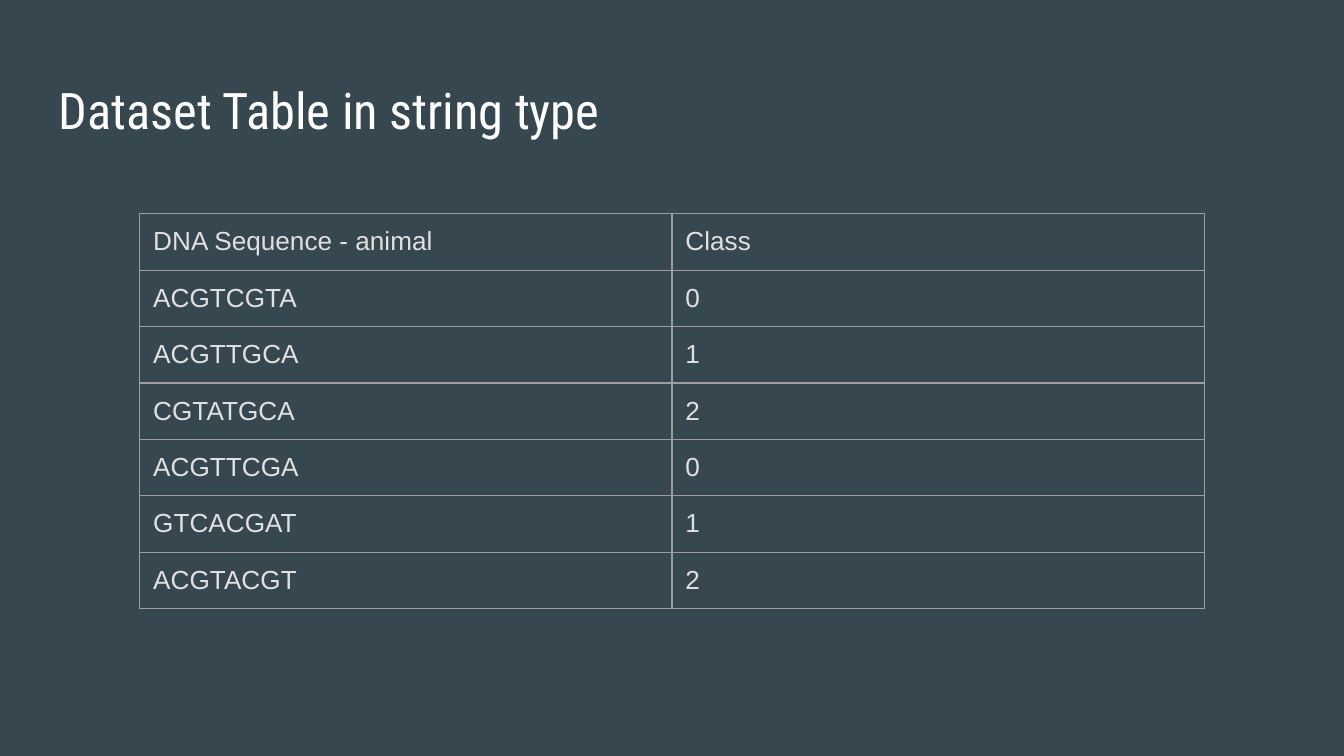
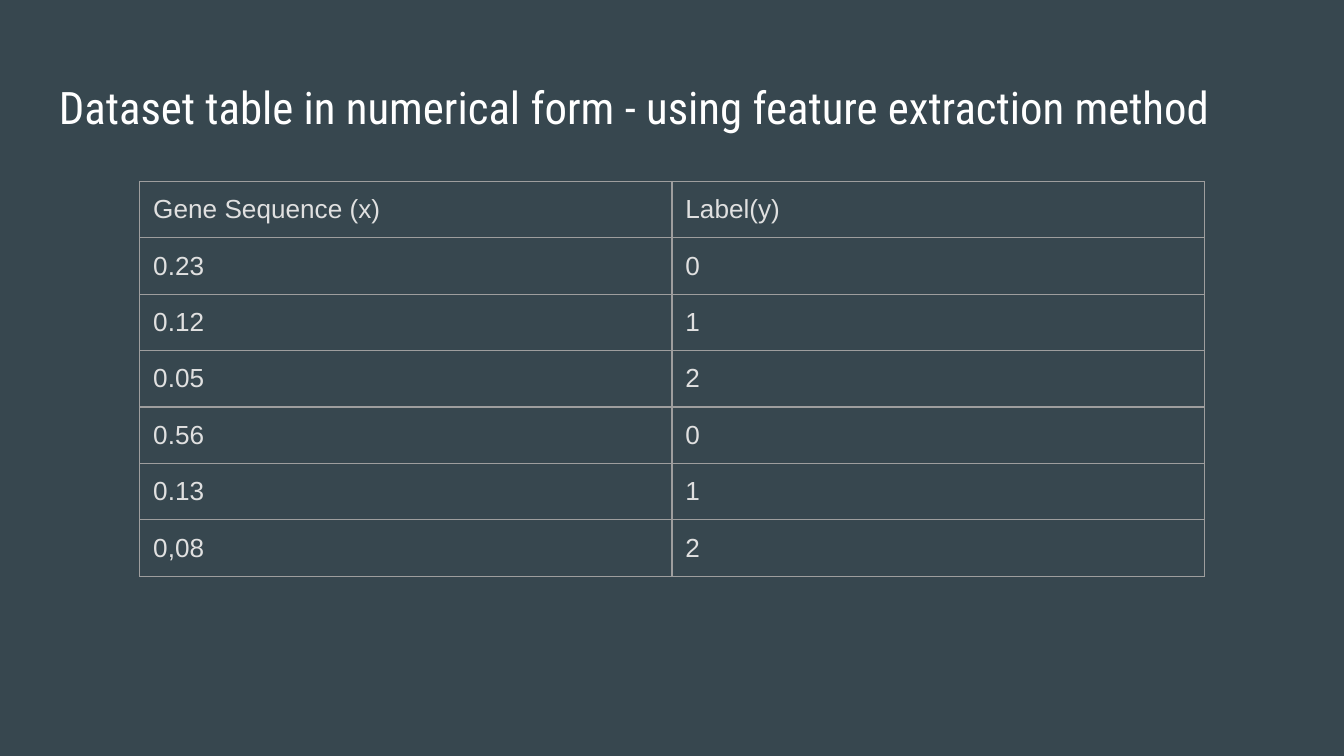
import pptx
import pptx.dml.color
import pptx.oxml
import pptx.oxml.ns
import pptx.util
from pptx.util import Inches

COLORS = {
    "background": "37474F",
    "title": "FFFFFF",
    "cell_text": "E0E0E0",
    "border": "9E9E9E",
}
TITLE_FONT = "Roboto Condensed"
TABLE_FONT = "Arial"
MARGIN = Inches(0.1)
CELL_BOTTOM_MARGIN = Inches(0.08)  # lets the row height, not the text, set the row
COLUMN_WIDTH = Inches(3.96)
ROW_HEIGHT = Inches(0.42)
BORDER_WIDTH = pptx.util.Pt(0.75)

# title, title size, table top, table rows
SLIDES = [
    ("Dataset Table in string type", 27, 1.59, [
        ("DNA Sequence - animal", "Class"),
        ("ACGTCGTA", "0"),
        ("ACGTTGCA", "1"),
        ("CGTATGCA", "2"),
        ("ACGTTCGA", "0"),
        ("GTCACGAT", "1"),
        ("ACGTACGT", "2"),
    ]),
    ("Dataset table in numerical form - using feature extraction method", 24, 1.35, [
        ("Gene Sequence (x)", "Label(y)"),
        ("0.23", "0"),
        ("0.12", "1"),
        ("0.05", "2"),
        ("0.56", "0"),
        ("0.13", "1"),
        ("0,08", "2"),
    ]),
]


def write_text(holder, frame, text, font_name, size, color):
    """Fill a text box or cell; both carry the same margins."""
    holder.margin_left = holder.margin_right = MARGIN
    holder.margin_top = holder.margin_bottom = MARGIN
    para = frame.paragraphs[0]
    para.text = text
    para.font.name = font_name
    para.font.size = pptx.util.Pt(size)
    para.font.color.rgb = pptx.dml.color.RGBColor.from_string(COLORS[color])


def add_borders(cell):
    properties = cell._tc.get_or_add_tcPr()
    for side in ("lnL", "lnR", "lnT", "lnB"):
        properties.append(pptx.oxml.parse_xml(
            f'<a:{side} {pptx.oxml.ns.nsdecls("a")} w="{BORDER_WIDTH}">'
            f'<a:solidFill><a:srgbClr val="{COLORS["border"]}"/></a:solidFill>'
            f'</a:{side}>'))


deck = pptx.Presentation()
deck.slide_width = Inches(10)
deck.slide_height = deck.slide_width * 9 // 16

for title, title_size, table_top, rows in SLIDES:
    page = deck.slides.add_slide(deck.slide_layouts[6])
    page.background.fill.solid()
    page.background.fill.fore_color.rgb = pptx.dml.color.RGBColor.from_string(COLORS["background"])

    title_box = page.shapes.add_textbox(Inches(0.34), Inches(0.49), Inches(9.32), Inches(0.63))
    title_box.text_frame.word_wrap = True
    write_text(title_box.text_frame, title_box.text_frame, title, TITLE_FONT, title_size, "title")

    table = page.shapes.add_table(
        len(rows), 2, Inches(1.04), Inches(table_top),
        2 * COLUMN_WIDTH, len(rows) * ROW_HEIGHT).table
    table.first_row = False
    table.horz_banding = False
    for row_index, values in enumerate(rows):
        for column_index, value in enumerate(values):
            cell = table.cell(row_index, column_index)
            write_text(cell, cell.text_frame, value, TABLE_FONT, 14, "cell_text")
            cell.margin_bottom = CELL_BOTTOM_MARGIN
            add_borders(cell)
            cell.fill.background()

deck.save("out.pptx")
